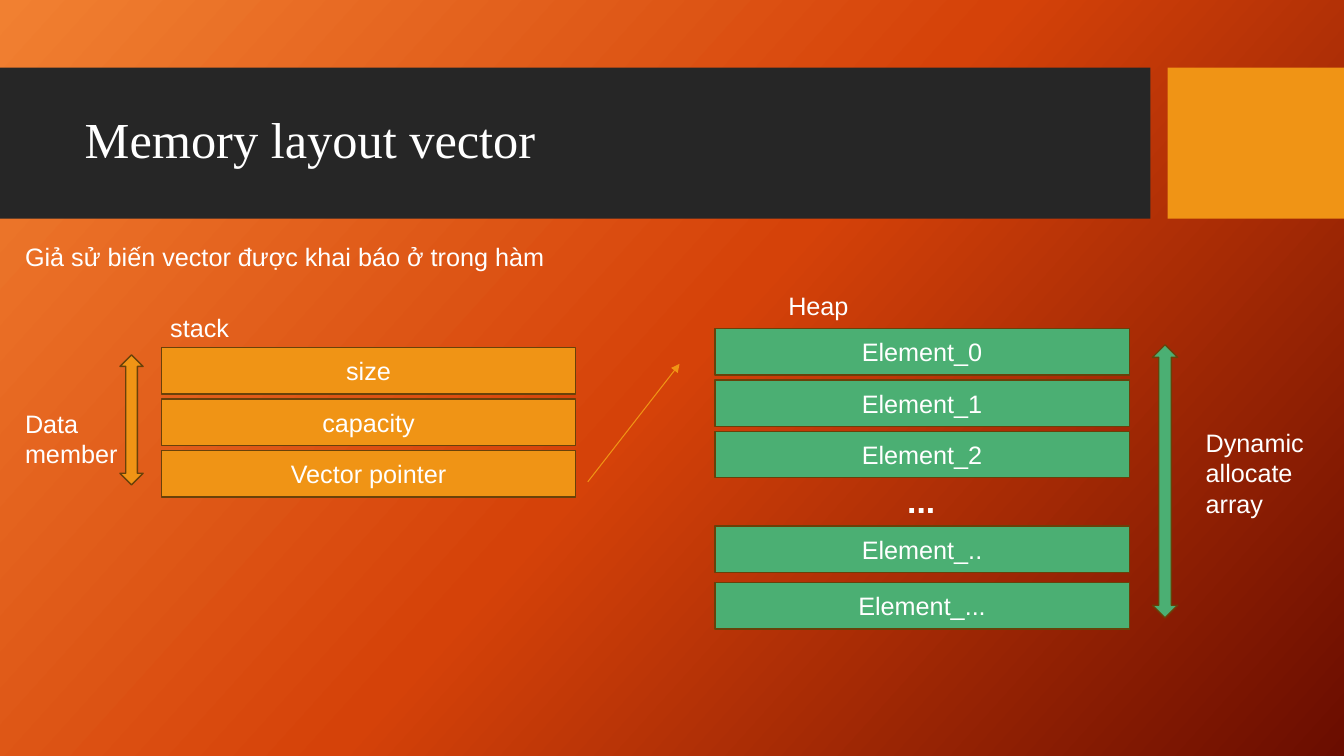
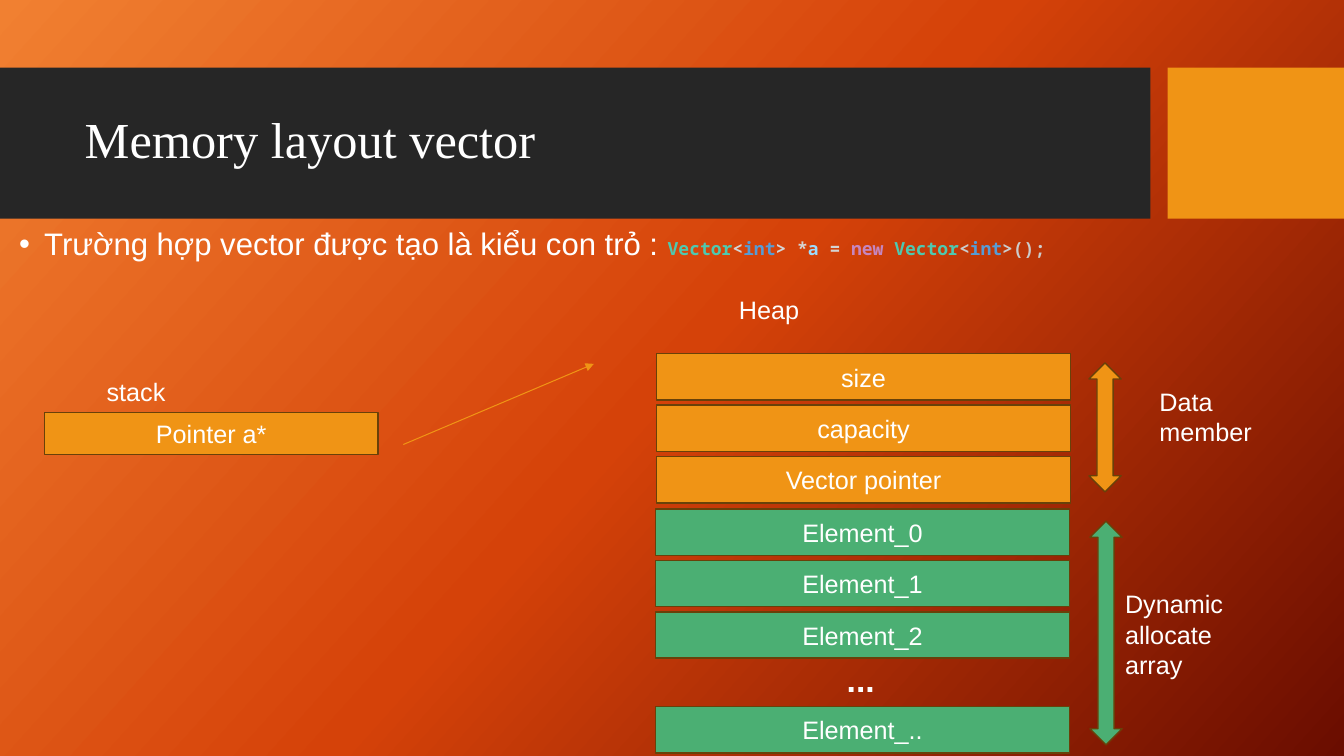
"""Build two slides on the memory layout of a vector."""
from copy import deepcopy

from lxml.etree import SubElement
from pptx import Presentation
from pptx.dml.color import RGBColor
from pptx.enum.shapes import MSO_CONNECTOR, MSO_SHAPE
from pptx.enum.text import MSO_ANCHOR, MSO_AUTO_SIZE, PP_ALIGN
from pptx.oxml.ns import qn
from pptx.util import Inches, Pt

COLORS = {
    "band": "262626", "orange": "F09415", "green": "4BAF73",
    "outline": "694109", "white": "FFFFFF", "type": "4EC9B0",
    "keyword": "569CD6", "operator": "D4D4D4", "variable": "9CDCFE",
    "new": "C586C0", "bracket": "CCCCCC",
}
GRADIENT = [(0, "F18031"), (0.5, "D54209"), (1, "6A0D00")]
GRADIENT_ANGLE = 42

TITLE_BOX = (0.74, 0.82, 10.51, 1.18)
BANDS = [("band", (0, 0.67, 11.41, 1.5)), ("orange", (11.58, 0.67, 1.75, 1.5))]
ROW_SIZE = (4.11, 0.46)
ROW_PITCH = 0.51

TITLE = {"size": 36, "name": "Times New Roman", "color": "white"}
BODY = {"size": 18, "name": "Arial", "color": "white"}
DOTS = {**BODY, "size": 24, "bold": True}
LEAD = {**BODY, "size": 22.2}
CODE = {"size": 12.9, "name": "Noto Sans Mono", "bold": True}

MEMBERS = ["size", "capacity", "Vector pointer"]
ELEMENTS = ["Element_0", "Element_1", "Element_2"]
DECLARATION = [
    ("Vector", "type"), ("<", "operator"), ("int", "keyword"),
    ("> *", "operator"), ("a ", "variable"), ("= ", "operator"),
    ("new ", "new"), ("Vector", "type"), ("<", "bracket"),
    ("int", "keyword"), (">();", "bracket"),
]
BULLET_BOX = (0.09, 2.22, 10.51, 0.59)
BULLET = [("Trường hợp vector được tạo là kiểu con trỏ : ", LEAD)] + [
    (text, {**CODE, "color": color}) for text, color in DECLARATION
]

PAGES = [
    {
        "title": "Memory layout vector",
        "stacks": [
            ("orange", 1.6, 3.45, ROW_SIZE, ROW_PITCH, MEMBERS),
            ("green", 7.09, 3.26, ROW_SIZE, ROW_PITCH, ELEMENTS),
            ("green", 7.09, 5.22, ROW_SIZE, 0.56, ["Element_..", "Element_..."]),
        ],
        "spans": [
            ("green", (11.43, 3.42, 0.25, 2.71)),
            ("orange", (1.19, 3.52, 0.23, 1.29)),
        ],
        "pointer": (5.83, 4.78, 6.74, 3.61),
        "labels": [
            ("stack", BODY, (1.59, 3.05, 3, 0.4)),
            ("...", DOTS, (8.9, 4.71, 1.56, 0.5)),
            ("Heap", BODY, (7.72, 2.83, 3, 0.4)),
            ("Giả sử biến vector được khai báo ở trong hàm", BODY,
             (0.15, 2.34, 5.45, 0.4)),
            ("Dynamic allocate array", BODY, (11.86, 4.19, 1.32, 1.01)),
            ("Data member", BODY, (0.15, 4, 1.15, 0.71)),
        ],
        "bullet": [],
    },
    {
        "title": "Memory layout vector",
        "stacks": [
            ("green", 6.5, 5.05, ROW_SIZE, ROW_PITCH, ELEMENTS),
            ("green", 6.5, 7.01, ROW_SIZE, ROW_PITCH, ["Element_.."]),
            ("orange", 6.51, 3.51, ROW_SIZE, ROW_PITCH, MEMBERS),
            ("orange", 0.44, 4.09, (3.31, 0.42), ROW_PITCH, ["Pointer a*"]),
        ],
        "spans": [
            ("green", (10.81, 5.17, 0.32, 2.22)),
            ("orange", (10.8, 3.6, 0.32, 1.28)),
        ],
        "pointer": (4, 4.41, 5.89, 3.61),
        "labels": [
            ("...", DOTS, (8.3, 6.49, 1.56, 0.5)),
            ("Heap", BODY, (7.23, 2.87, 3, 0.4)),
            ("stack", BODY, (0.96, 3.68, 3.06, 0.4)),
            ("Dynamic allocate array", BODY, (11.06, 5.79, 1.32, 1.01)),
            ("Data member", BODY, (11.4, 3.78, 1.15, 0.71)),
        ],
        "bullet": BULLET,
    },
]


def rgb(name):
    return RGBColor.from_string(COLORS[name])


def inches(values):
    return [Inches(value) for value in values]


def add_span(para, text, style):
    span = para.add_run()
    span.text = text
    values = {**style, "size": Pt(style["size"])}
    span.font.color.rgb = rgb(values.pop("color"))
    for key, value in values.items():
        setattr(span.font, key, value)


def add_block(page, kind, color, box, outline=True):
    block = page.shapes.add_shape(kind, *inches(box))
    block.shadow.inherit = False
    block.fill.solid()
    block.fill.fore_color.rgb = rgb(color)
    if outline:
        block.line.color.rgb = rgb("outline")
        block.line.width = Pt(1)
    else:
        block.line.fill.background()
    return block


def add_stack(page, color, left, top, size, pitch, names):
    for index, name in enumerate(names):
        box = (left, top + index * pitch, *size)
        row = add_block(page, MSO_SHAPE.RECTANGLE, color, box)
        row.text_frame.vertical_anchor = MSO_ANCHOR.MIDDLE
        para = row.text_frame.paragraphs[0]
        para.alignment = PP_ALIGN.CENTER
        add_span(para, name, BODY)


def add_text(page, spans, box):
    frame = page.shapes.add_textbox(*inches(box)).text_frame
    frame.word_wrap = True
    para = frame.paragraphs[0]
    for text, style in spans:
        add_span(para, text, style)
    return para


def add_bullet(page, spans):
    para = add_text(page, spans, BULLET_BOX)
    para.line_spacing = 0.9
    para.space_before = Pt(10)
    properties = para._p.get_or_add_pPr()
    properties.set("marL", str(Inches(0.25)))
    properties.set("indent", str(Inches(-0.25)))
    SubElement(properties, qn("a:buFont"), typeface="Arial")
    SubElement(properties, qn("a:buChar"), char="•")


def add_pointer(page, ends):
    arrow = page.shapes.add_connector(MSO_CONNECTOR.STRAIGHT, *inches(ends))
    arrow.line.color.rgb = rgb("orange")
    arrow.line.width = Pt(0.75)
    properties = arrow._element.spPr
    SubElement(properties.get_or_add_ln(), qn("a:tailEnd"), type="triangle")
    SubElement(properties, qn("a:effectLst"))


def set_background(master):
    fill = master.background.fill
    fill.gradient()
    fill.gradient_angle = 360 - GRADIENT_ANGLE
    stops = master.element.find(".//" + qn("a:gsLst"))
    stops.append(deepcopy(stops[0]))
    for stop, (position, color) in zip(fill.gradient_stops, GRADIENT):
        stop.position = position
        stop.color.rgb = RGBColor.from_string(color)


def style_layout(layout, page):
    for holder in list(layout.placeholders):
        if holder.placeholder_format.idx:
            holder.element.getparent().remove(holder.element)
    for index, (color, box) in enumerate(BANDS):
        band = add_block(page, MSO_SHAPE.RECTANGLE, color, box, outline=False)
        layout.shapes._spTree.insert(2 + index, band._element)


def set_title(page, text):
    title = page.shapes.title
    title.left, title.top, title.width, title.height = inches(TITLE_BOX)
    frame = title.text_frame
    frame.auto_size = MSO_AUTO_SIZE.NONE
    frame.vertical_anchor = MSO_ANCHOR.MIDDLE
    para = frame.paragraphs[0]
    para.alignment = PP_ALIGN.LEFT
    para.line_spacing = 0.9
    add_span(para, text, TITLE)


def main():
    deck = Presentation()
    deck.slide_width, deck.slide_height = inches((13.33, 7.5))
    set_background(deck.slide_master)
    layout = deck.slide_layouts[5]
    for number, content in enumerate(PAGES):
        page = deck.slides.add_slide(layout)
        if number == 0:
            style_layout(layout, page)
        set_title(page, content["title"])
        if content["bullet"]:
            add_bullet(page, content["bullet"])
        for stack in content["stacks"]:
            add_stack(page, *stack)
        for color, box in content["spans"]:
            add_block(page, MSO_SHAPE.UP_DOWN_ARROW, color, box)
        add_pointer(page, content["pointer"])
        for text, style, box in content["labels"]:
            add_text(page, [(text, style)], box)
    deck.save("out.pptx")


if __name__ == "__main__":
    main()
